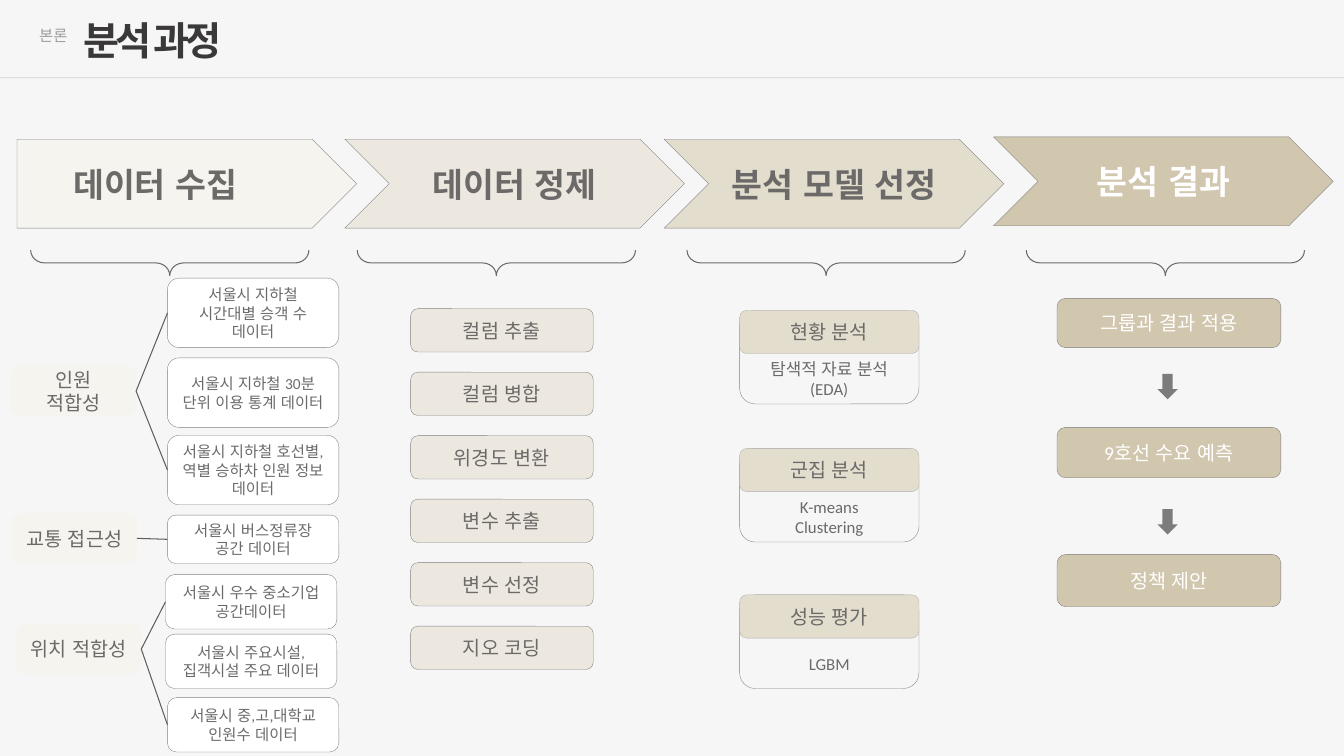
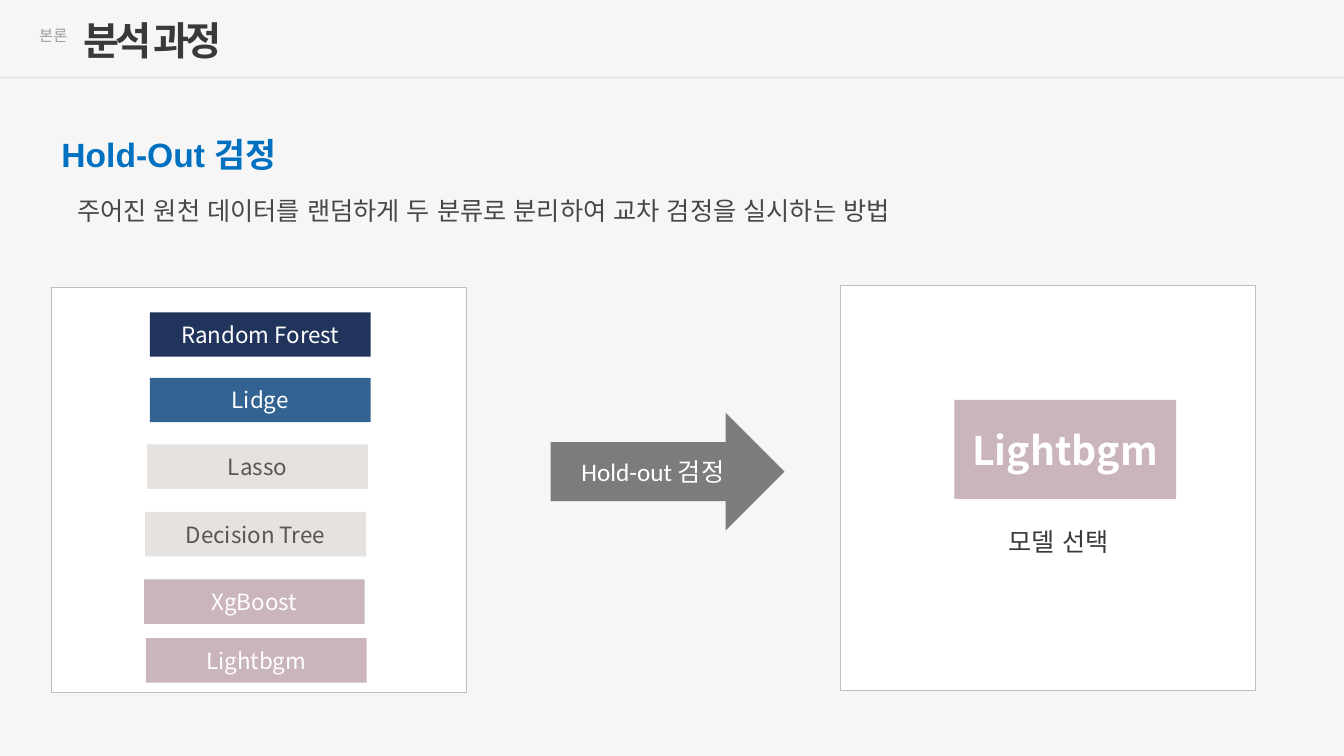
from lxml import etree
from pptx import Presentation
from pptx.dml.color import RGBColor
from pptx.enum import shapes, text
from pptx.oxml.ns import qn
from pptx.util import Cm, Pt


class Theme:
    back, white, ink, gray = "F6F6F6", "FFFFFF", "3A3838", "6C6969"
    pale, cream, sand, tan = "F6F4EF", "EDE8DF", "E3DDCE", "D1C6AE"
    edge, soft, dark, link = "808080", "B0B0AF", "7C7C7A", "5D5D5B"
    rule, frame, faint = "5F5F5D", "BFBFBF", "9E9C9C"
    blue, body, navy, steel = "0070C0", "474746", "21345C", "326393"
    stone, coal, rose = "E5E2E0", "585555", "CAB5BD"
    arial, plain, noto = "Arial", "Calibri", "Noto Sans CJK KR"
    tiny, small, label, bar, lead, head, title = 11, 12, 14, 16, 18, 24, 28


T = Theme
Kind = shapes.MSO_SHAPE
Mid, Top = text.MSO_ANCHOR.MIDDLE, text.MSO_ANCHOR.TOP
Left, Center = text.PP_ALIGN.LEFT, text.PP_ALIGN.CENTER


def write(shape, words, size=T.label, color=T.gray, font=T.plain, bold=False,
          align=Center, anchor=Mid, pad=(0.25, 0.13, 0.25, 0.13), track=0):
    """Fill a shape with text; pad is left, top, right, bottom in cm."""
    frame = shape.text_frame
    frame.word_wrap = True
    frame.auto_size = text.MSO_AUTO_SIZE.NONE
    frame.vertical_anchor = anchor
    (frame.margin_left, frame.margin_top,
     frame.margin_right, frame.margin_bottom) = map(Cm, pad)
    frame.text = words
    for para in frame.paragraphs:
        para.alignment = align
        for run in para.runs:
            run.font.size, run.font.name, run.font.bold = Pt(size), font, bold
            run.font.color.rgb = RGBColor.from_string(color)
            props = run.font._element
            props.set("lang", "ko-KR")
            if track:
                props.set("spc", str(track))
            etree.SubElement(props, qn("a:ea")).set("typeface", T.noto)
    return shape


def draw(slide, kind, box, fill=None, line=None, width=0.25):
    """Add a preset shape; box is left, top, width, height in cm."""
    shape = slide.shapes.add_shape(kind, *map(Cm, box))
    shape.shadow.inherit = False
    if fill:
        shape.fill.solid()
        shape.fill.fore_color.rgb = RGBColor.from_string(fill)
    else:
        shape.fill.background()
    if line:
        shape.line.color.rgb = RGBColor.from_string(line)
        shape.line.width = Pt(width)
    else:
        shape.line.fill.background()
    return shape


deck = Presentation()
deck.slide_width, deck.slide_height = Cm(33.87), Cm(19.05)
ground = deck.slide_master.background.fill
ground.solid()
ground.fore_color.rgb = RGBColor.from_string(T.back)

# Shared header
for _ in range(2):
    slide = deck.slides.add_slide(deck.slide_layouts[5])
    title = slide.shapes.title
    title.left, title.top, title.width, title.height = map(
        Cm, (1.85, 0.41, 15.75, 1.55))
    write(title, "분석 과정", size=T.title, color=T.ink, font=T.arial,
          bold=True, align=Left, anchor=Top, track=-300)
    title.text_frame.paragraphs[0].line_spacing = 0.9
    part = slide.shapes.add_textbox(*map(Cm, (0.74, 0.53, 1.37, 0.74)))
    write(part, "본론", size=T.tiny, color=T.faint, font=T.arial,
          align=Left, anchor=Top)
    rule = slide.shapes.add_connector(
        shapes.MSO_CONNECTOR.STRAIGHT, 0, Cm(1.96), deck.slide_width, Cm(1.96))
    rule.line.color.rgb = RGBColor.from_string(T.rule)
    rule.line.width = Pt(0.5)
    tint = rule.line._ln.find(".//" + qn("a:srgbClr"))
    etree.SubElement(tint, qn("a:alpha")).set("val", "24000")

flow, test = deck.slides

# Slide 1: stage arrows, each with a brace below
stages = [
    ("데이터 수집", Kind.PENTAGON, 0.43, 3.51, T.pale, T.gray, 1.04, 4.28),
    ("데이터 정제", Kind.CHEVRON, 8.69, 3.51, T.cream, T.gray, 0, 12.51),
    ("분석 모델 선정", Kind.CHEVRON, 16.74, 3.51, T.sand, T.gray, 0, 20.82),
    ("분석 결과", Kind.CHEVRON, 25.04, 3.45, T.tan, T.white, 0, 29.37),
]
for name, kind, x, y, fill, color, inset, mid in stages:
    stage = draw(flow, kind, (x, y, 8.56, 2.24), fill, T.edge)
    write(stage, name, size=T.head, color=color, bold=True,
          pad=(0, 0, inset, 0))
    brace = draw(flow, Kind.LEFT_BRACE, (mid - 0.32, 3.12, 0.64, 7.01),
                 line=T.gray, width=0.75)
    brace.rotation = 270
    brace.adjustments[0] = 0.545

# Collected data by criterion; the flag tells whether a line leads to it
groups = [
    ("인원\n적합성", 0.28, 9.22, [
        ("서울시 지하철 시간대별 승객 수 데이터", 4.22, 7.01, 1.75, True),
        ("서울시 지하철 30분 단위 이용 통계 데이터", 4.22, 9.02, 1.75, False),
        ("서울시 지하철 호선별, 역별 승하차 인원 정보 데이터",
         4.22, 10.97, 1.75, True)]),
    ("교통 접근성", 0.3, 12.93, [
        ("서울시 버스정류장 공간 데이터", 4.22, 12.98, 1.22, True)]),
    ("위치 적합성", 0.41, 15.72, [
        ("서울시 우수 중소기업 공간데이터", 4.17, 14.48, 1.37, True),
        ("서울시 주요시설, 집객시설 주요 데이터", 4.17, 15.98, 1.37, False),
        ("서울시 중,고,대학교 인원수 데이터", 4.22, 17.58, 1.37, True)]),
]
for name, x, y, sets in groups:
    label = draw(flow, Kind.ROUNDED_RECTANGLE, (x, y, 3.15, 1.27), T.pale)
    write(label, name)
    for words, left, top, high, joined in sets:
        data = draw(flow, Kind.ROUNDED_RECTANGLE, (left, top, 4.32, high),
                    T.white, T.edge)
        write(data, words, size=T.tiny)
        if joined:
            link = flow.shapes.add_connector(
                shapes.MSO_CONNECTOR.STRAIGHT, 0, 0, 0, 0)
            link.begin_connect(label, 3)
            link.end_connect(data, 1)
            link.line.color.rgb = RGBColor.from_string(T.link)
            link.line.width = Pt(0.75)

# Cleaning steps
steps = ["컬럼 추출", "컬럼 병합", "위경도 변환", "변수 추출", "변수 선정",
         "지오 코딩"]
for row, name in enumerate(steps):
    step = draw(flow, Kind.ROUNDED_RECTANGLE,
                (10.35, 7.78 + 1.6 * row, 4.6, 1.09), T.cream, T.edge)
    write(step, name)

# Model cards
cards = [("현황 분석", "탐색적 자료 분석\n(EDA)", 7.82),
         ("군집 분석", "K-means\nClustering", 11.3),
         ("성능 평가", "LGBM", 14.99)]
for name, words, y in cards:
    card = draw(flow, Kind.ROUNDED_RECTANGLE, (18.64, y, 4.52, 2.36),
                line=T.edge)
    write(card, words, size=T.small, pad=(0.1, 1.09, 0.1, 0))
    cap = draw(flow, Kind.ROUNDED_RECTANGLE, (18.64, y, 4.52, 1.09),
               T.sand, T.soft)
    write(cap, name)

# Results
for name, y, high in [("그룹과 결과 적용", 7.52, 1.24),
                      ("9호선 수요 예측", 10.77, 1.27),
                      ("정책 제안", 13.97, 1.32)]:
    goal = draw(flow, Kind.ROUNDED_RECTANGLE, (26.64, y, 5.64, high),
                T.tan, T.dark)
    write(goal, name, color=T.white)
for y in (9.42, 12.83):
    draw(flow, Kind.DOWN_ARROW, (29.17, y, 0.51, 0.64), T.dark)

# Slide 2: hold-out test
for x, y in [(1.3, 7.24), (21.18, 7.19)]:
    draw(test, Kind.RECTANGLE, (x, y, 10.46, 10.21), T.white, T.frame, 1)

notes = [
    ("Hold-Out 검정", (1.3, 3.25, 6.22, 1.27), T.head, T.blue, True),
    ("주어진 원천 데이터를 랜덤하게 두 분류로 분리하여 교차 검정을 실시하는 방법",
     (1.7, 4.8, 22.05, 1.02), T.lead, T.body, False),
    ("모델 선택", (25.17, 13.13, 3.25, 1.02), T.lead, T.ink, False),
]
for words, box, size, color, bold in notes:
    note = test.shapes.add_textbox(*map(Cm, box))
    write(note, words, size=size, color=color, font=T.arial, bold=bold,
          align=Left, anchor=Top)

models = [
    ("Random Forest", 3.78, 7.87, T.navy, T.white),
    ("Lidge", 3.78, 9.52, T.steel, T.white),
    ("Lasso", 3.71, 11.2, T.stone, T.coal),
    ("Decision Tree", 3.66, 12.9, T.stone, T.coal),
    ("XgBoost", 3.63, 14.6, T.rose, T.white),
    ("Lightbgm", 3.68, 16.08, T.rose, T.white),
]
for name, x, y, fill, color in models:
    model = draw(test, Kind.RECTANGLE, (x, y, 5.56, 1.12), fill)
    write(model, name, size=T.bar, color=color, font=T.noto,
          pad=(0, 0, 0, 0))

arrow = draw(test, Kind.RIGHT_ARROW, (13.88, 10.4, 5.89, 2.97), T.dark)
write(arrow, "Hold-out 검정", size=T.lead, color=T.white, pad=(0, 0, 0, 0))
best = draw(test, Kind.RECTANGLE, (24.05, 10.08, 5.59, 2.49), T.rose)
write(best, "Lightbgm", size=T.title, color=T.white, font=T.noto, bold=True)

# Connectors carry no shadow
for slide in deck.slides:
    for line in slide.shapes:
        if line.shape_type == shapes.MSO_SHAPE_TYPE.LINE:
            etree.SubElement(line._element.spPr, qn("a:effectLst"))

deck.save("out.pptx")
